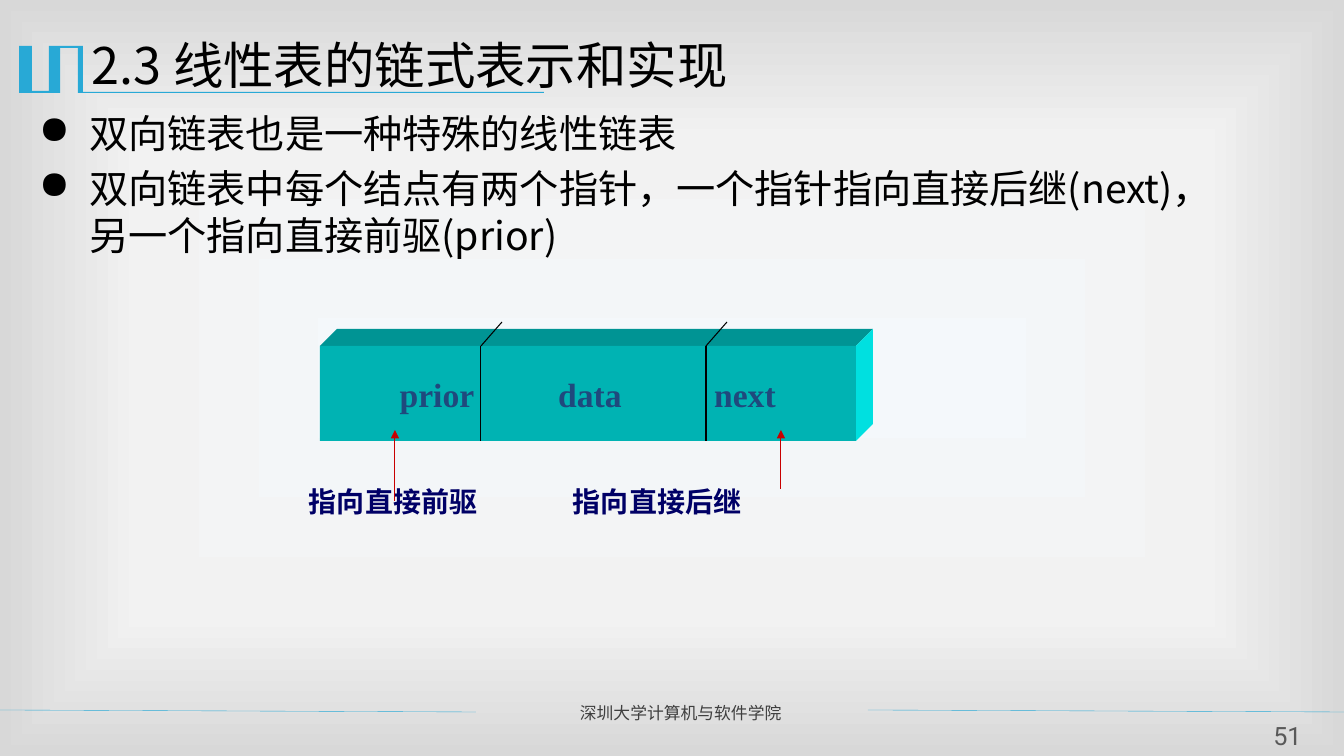
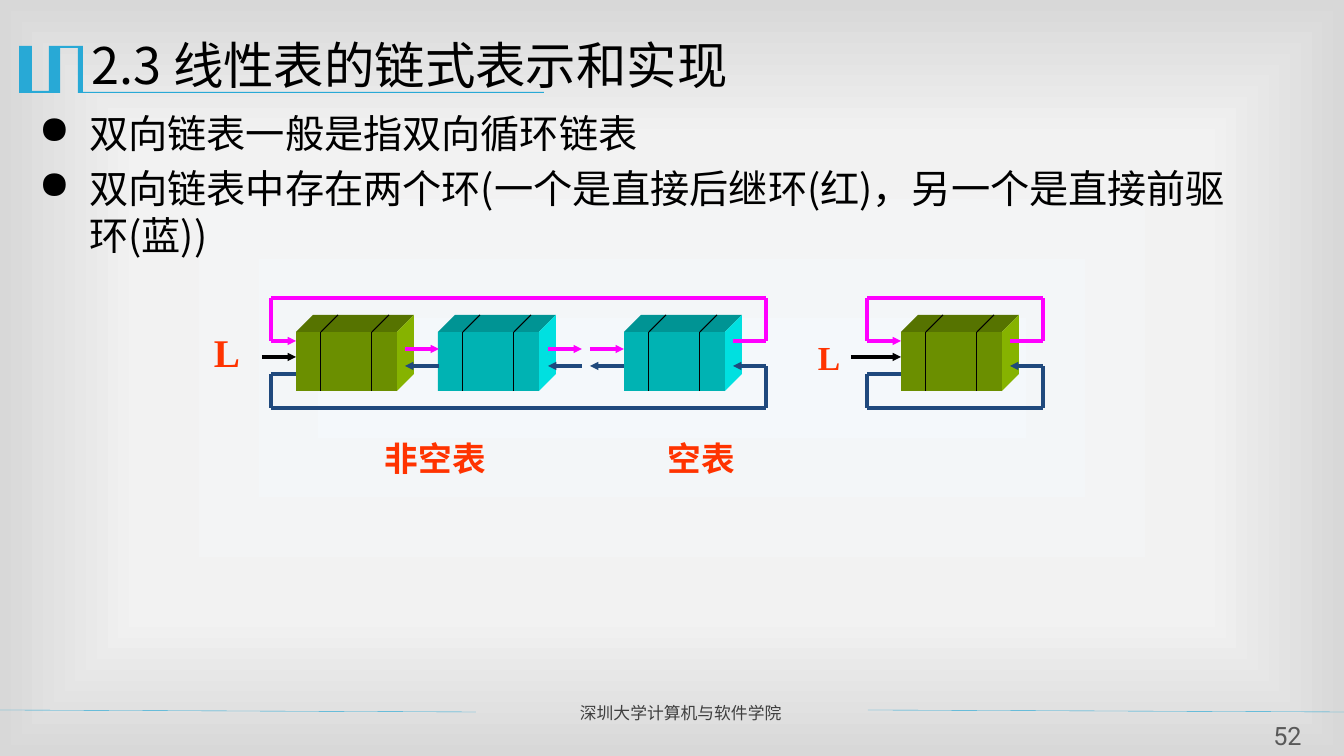
from dataclasses import dataclass
from itertools import pairwise

from lxml import etree
from pptx import Presentation
from pptx.dml.color import RGBColor
from pptx.enum.shapes import MSO_CONNECTOR, MSO_SHAPE
from pptx.enum.text import PP_ALIGN
from pptx.oxml import parse_xml
from pptx.oxml.ns import nsdecls, qn
from pptx.util import Pt

STRAIGHT = MSO_CONNECTOR.STRAIGHT
RECT = MSO_SHAPE.RECTANGLE
LEFT, CENTER = PP_ALIGN.LEFT, PP_ALIGN.CENTER
WIDTH, HEIGHT = 1344, 756
SCALE = 12192000 / WIDTH


@dataclass(frozen=True)
class Theme:
    sans: str = "Noto Sans CJK SC"
    serif: str = "Times New Roman"
    plain: str = "Roboto"
    black: str = "000000"
    accent: str = "28A9D6"
    foot: str = "3F3F3F"
    page: str = "595959"
    navy: str = "000066"
    blue: str = "1F497D"
    pink: str = "FF00FF"
    red: str = "C80000"
    orange: str = "FF3300"
    teal: tuple = ("00B3B3", "009494", "00E0E0")
    green: tuple = ("6B8F00", "567300", "86B300")
    stops: tuple = ((0, "F4F8FB"), (63, "F2F2F2"), (100, "D8D8D8"))
    head: int = 36
    body: int = 28
    mark: int = 24
    note: int = 20
    num: int = 18
    small: int = 12
    thin: float = 0.75
    hair: float = 0.25
    thick: float = 3


T = Theme()


def px(n):
    return round(n * SCALE)


def rgb(color):
    return RGBColor.from_string(color)


def add_run(para, text, size, color, font, bold=False):
    run = para.add_run()
    run.text = text
    run.font.size = Pt(size)
    run.font.name = font
    run.font.bold = bold
    run.font.color.rgb = rgb(color)
    east = etree.SubElement(run.font._element, qn("a:ea"))
    east.set("typeface", T.sans)


def add_box(slide, x, y, w, h):
    frame = slide.shapes.add_textbox(px(x), px(y), px(w), px(h)).text_frame
    frame.margin_left = frame.margin_right = 0
    frame.margin_top = frame.margin_bottom = 0
    frame.word_wrap = True
    return frame


def add_text(slide, text, x, y, w, size, color, font, bold=False, align=LEFT):
    para = add_box(slide, x, y, w, round(size * 1.7)).paragraphs[0]
    para.alignment = align
    para.line_spacing = Pt(size * 1.2)
    add_run(para, text, size, color, font, bold)


def add_list(slide, items):
    frame = add_box(slide, 39, 109, 1200, 540)
    for i, item in enumerate(items):
        para = frame.add_paragraph() if i else frame.paragraphs[0]
        para.line_spacing = Pt(T.body * 1.2)
        para.space_after = Pt(T.body * 0.2)
        props = para._p.get_or_add_pPr()
        props.set("marL", "457200")
        props.set("indent", "-457200")
        etree.SubElement(props, qn("a:buChar")).set("char", "●")
        add_run(para, item, T.body, T.black, T.sans)


def add_line(slide, start, end, color, width, tip=None):
    line = slide.shapes.add_connector(STRAIGHT, *map(px, (*start, *end)))
    line.line.color.rgb = rgb(color)
    line.line.width = Pt(width)
    if tip:
        tail = etree.SubElement(line.line._get_or_add_ln(), qn("a:tailEnd"))
        for key, value in (("type", "triangle"), ("w", tip), ("len", tip)):
            tail.set(key, value)
    etree.SubElement(line._element.spPr, qn("a:effectLst"))


def add_route(slide, points, color):
    steps = list(pairwise(points))
    for i, (start, end) in enumerate(steps, 1):
        tip = "sm" if i == len(steps) else None
        add_line(slide, start, end, color, T.thick, tip)


def paint(shape, color):
    shape.fill.solid()
    shape.fill.fore_color.rgb = rgb(color)
    shape.line.fill.background()
    shape.shadow.inherit = False


def add_shape(slide, points, color):
    form = slide.shapes.build_freeform(*points[0], scale=SCALE)
    form.add_line_segments(points[1:], close=True)
    paint(form.convert_to_shape(), color)


def add_block(slide, x, y, w, h, colors, cuts, slant, depth=17):
    front, top, side = colors
    right, low = x + w, y + h
    back = (right + depth, y - depth)
    add_shape(slide, [(x, y), (x + depth, y - depth), back, (right, y)], top)
    add_shape(slide, [(right, y), back, (right + depth, low - depth), (right, low)], side)
    paint(slide.shapes.add_shape(RECT, *map(px, (x, y, w, h))), front)
    for cut in cuts:
        edge = (x + cut, y)
        add_line(slide, edge, (x + cut, low), T.black, T.thin)
        add_line(slide, edge, (x + cut + slant[0], y - slant[1]), T.black, T.thin)


def add_ring(slide, left, right, first):
    last = right - 33
    add_route(slide, [(last, 341), (right, 341), (right, 298), (left, 298),
                      (left, 341), (first, 341)], T.pink)
    add_route(slide, [(first, 374), (left, 374), (left, 408), (right, 408),
                      (right, 366), (last, 366)], T.blue)


def set_back(deck):
    stops = "".join(
        f'<a:gs pos="{pos * 1000}"><a:srgbClr val="{color}"/></a:gs>'
        for pos, color in T.stops)
    fill = (f'<p:bg {nsdecls("p", "a")}><p:bgPr><a:gradFill><a:gsLst>{stops}</a:gsLst>'
            '<a:path path="rect"><a:fillToRect l="50000" t="50000" r="50000" b="50000"/>'
            '</a:path></a:gradFill><a:effectLst/></p:bgPr></p:bg>')
    root = deck.slide_master.element.cSld
    root.replace(root.bg, parse_xml(fill))


def add_page(deck, number, items):
    slide = deck.slides.add_slide(deck.slide_layouts[6])
    add_shape(slide, [(83, 46), (83, 92), (544, 92), (544, 93), (78, 93), (78, 48),
                      (60, 48), (60, 93), (19, 93), (19, 46), (32, 46), (32, 91),
                      (49, 91), (49, 46)], T.accent)
    for x, end in ((0, 476), (868, WIDTH)):
        add_line(slide, (x, 710), (end, 712), T.accent, T.hair)
    add_text(slide, "深圳大学计算机与软件学院", 580, 703, 267, T.small, T.foot, T.plain)
    add_list(slide, items)
    add_text(slide, "2.3 线性表的链式表示和实现", 92, 34, 1190, T.head, T.black, T.sans)
    add_text(slide, str(number), 1258, 720, 59, T.num, T.page, T.plain, align=CENTER)
    return slide


def draw_node(slide):
    add_block(slide, 320, 346, 536, 95, T.teal, (161, 386), (21, 24))
    for word, mid in (("prior", 437), ("data", 590), ("next", 745)):
        add_text(slide, word, mid - 50, 374, 100, T.mark, T.blue, T.serif, True, CENTER)
    for text, x in (("指向直接前驱", 309), ("指向直接后继", 573)):
        add_text(slide, text, x, 484, 190, T.note, T.navy, T.serif, True)
    for x, y in ((395, 501), (781, 489)):
        add_line(slide, (x, y), (x, 430), T.red, T.thin, "med")


def draw_rings(slide):
    for text, x in (("非空表", 385), ("空表", 668)):
        add_text(slide, text, x, 438, 140, T.mark, T.orange, T.sans, True)
    for x, colors in ((296, T.green), (438, T.teal), (624, T.teal), (901, T.green)):
        add_block(slide, x, 332, 101, 59, colors, (25, 76), (17, 17))
    for x, end in ((262, 296), (851, 901)):
        add_route(slide, [(x, 357), (end, 357)], T.black)
    for x in (405, 548, 590):
        add_route(slide, [(x, 349), (x + 34, 349)], T.pink)
        add_route(slide, [(x + 34, 366), (x, 366)], T.blue)
    add_ring(slide, 271, 766, 296)
    add_ring(slide, 867, 1043, 901)
    for x, y, size in ((818, 337, T.mark), (214, 328, T.body)):
        add_text(slide, "L", x, y, 40, size, T.orange, T.serif, True)


def main():
    deck = Presentation()
    deck.slide_width, deck.slide_height = px(WIDTH), px(HEIGHT)
    set_back(deck)
    draw_node(add_page(deck, 51, (
        "双向链表也是一种特殊的线性链表",
        "双向链表中每个结点有两个指针，一个指针指向直接后继(next)，另一个指向直接前驱(prior)")))
    draw_rings(add_page(deck, 52, (
        "双向链表一般是指双向循环链表",
        "双向链表中存在两个环(一个是直接后继环(红)，另一个是直接前驱环(蓝))")))
    deck.save("out.pptx")


if __name__ == "__main__":
    main()
